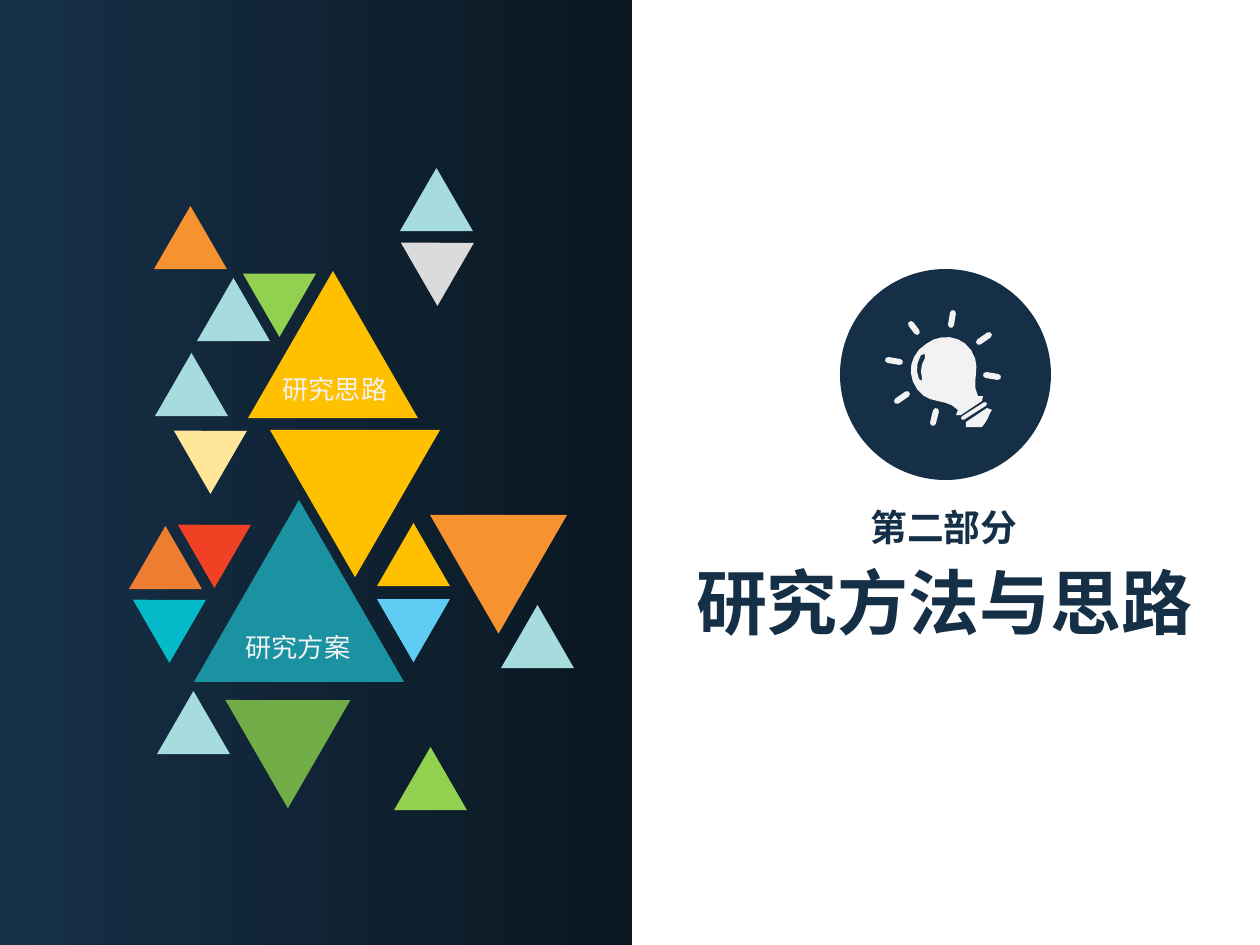
import math
from pptx import Presentation
from pptx import util as u
from pptx.dml.color import RGBColor
from pptx.enum import shapes, text
from pptx.oxml import ns
from lxml import etree

PX = 914400 / 126
FONT = "Noto Sans CJK SC"

NAVY = RGBColor(0x15, 0x2F, 0x47)
PANEL_START = RGBColor(0x16, 0x30, 0x48)
PANEL_END = RGBColor(0x0A, 0x17, 0x21)
WHITE = RGBColor(0xF2, 0xF2, 0xF2)
MINT = RGBColor(0xA7, 0xDC, 0xDE)
CREAM = RGBColor(0xFF, 0xE6, 0x99)
AMBER = RGBColor(0xFF, 0xC0, 0x00)
TEAL = RGBColor(0x1A, 0x92, 0xA2)
RUST = RGBColor(0xED, 0x7D, 0x31)
ORANGE = RGBColor(0xF6, 0x92, 0x30)
LIME = RGBColor(0x92, 0xD0, 0x50)
GREEN = RGBColor(0x70, 0xAD, 0x47)
GREY = RGBColor(0xDB, 0xDB, 0xDB)
CYAN = RGBColor(0x05, 0xBA, 0xC8)
SKY = RGBColor(0x5E, 0xCC, 0xF3)
RED = RGBColor(0xF1, 0x41, 0x24)

SMALL = 73
TRIANGLES = [
    (155, 353, SMALL, 0, MINT),
    (400, 168, SMALL, 0, MINT),
    (183, 415, SMALL, 60, CREAM),
    (270, 430, 170, 180, AMBER),
    (194, 500, 210, 0, TEAL),
    (157, 691, SMALL, 0, MINT),
    (129, 526, SMALL, 0, RUST),
    (154, 206, SMALL, 0, ORANGE),
    (197, 278, SMALL, 0, MINT),
    (252, 258, SMALL, 60, LIME),
    (410, 227, SMALL, 60, GREY),
    (142, 584, SMALL, 60, CYAN),
    (430, 515, 137, 180, ORANGE),
    (377, 523, SMALL, 0, AMBER),
    (377, 599, SMALL, 180, SKY),
    (187, 509, SMALL, 60, RED),
    (241, 673, 125, 60, GREEN),
    (501, 605, SMALL, 0, MINT),
    (248, 271, 170, 0, AMBER),
    (394, 747, SMALL, 0, LIME),
]

RAYS = [
    ((72, 54), (78, 62)), ((49, 90), (61, 92)), ((58, 131), (68, 124)),
    ((94, 153), (97, 141)), ((147, 105), (159, 107)),
    ((140, 72), (150, 65)), ((112, 55), (114, 43)),
]
SCREW_RING = ((146, 134), (124, 148))
GLASS = [
    (144, 126), (145, 127), (144, 129), (143, 131),
    (143, 131), (122, 145), (122, 145), (120, 146), (119, 146), (117, 145),
    (117, 143), (117, 141), (119, 140), (107, 127), (90, 136), (78, 119),
    (67, 104), (71, 84), (87, 74), (101, 63), (122, 65), (132, 80),
    (144, 97), (131, 111), (139, 126), (140, 124), (142, 124), (144, 126),
]
GLINT = [
    (86, 84), (85, 84), (83, 84), (82, 85), (77, 93), (77, 102), (80, 109),
    (80, 111), (82, 112), (83, 111), (84, 110), (83, 109), (83, 108),
    (81, 102), (82, 94), (86, 88), (87, 87), (87, 85), (86, 84),
]
SCREW_TIP = [
    (148, 138), (148, 138), (127, 152), (127, 152), (126, 153), (126, 156),
    (127, 157), (129, 158), (130, 158), (131, 157), (133, 156), (134, 156),
    (136, 157), (137, 158), (141, 158), (143, 157), (143, 157), (146, 153),
    (146, 153), (149, 152), (150, 150), (149, 148), (149, 147), (150, 145),
    (151, 143), (153, 142), (153, 141), (153, 140), (153, 137), (149, 137),
    (148, 138),
]


def emu(length):
    return u.Emu(round(length * PX))


def paint(shape, colour):
    shape.shadow.inherit = False
    shape.line.fill.background()
    shape.fill.solid()
    shape.fill.fore_color.rgb = colour


def add_preset(page, kind, left, top, width, height):
    return page.shapes.add_shape(kind, *map(emu, (left, top, width, height)))


def add_label(page, box, wording, align, **formats):
    label = page.shapes.add_textbox(*map(emu, box))
    frame = label.text_frame
    frame.word_wrap = False
    frame.auto_size = text.MSO_AUTO_SIZE.SHAPE_TO_FIT_TEXT
    para = frame.paragraphs[0]
    para.alignment = align
    span = para.add_run()
    span.text = wording
    span.font.color.rgb = formats.pop("colour")
    for name, value in {"name": FONT, **formats}.items():
        setattr(span.font, name, value)
    etree.SubElement(span.font._element, ns.qn("a:ea"), typeface=FONT)


def sample_curve(points):
    outline = [points[0]]
    for start in range(0, len(points) - 1, 3):
        a, b, c, d = points[start:start + 4]
        steps = 1 if a == b else max(1, round(math.dist(a, d) / 8))
        for step in range(1, steps + 1):
            t = step / steps
            s = 1 - t
            outline.append(tuple(
                s**3 * a[k] + 3 * s * s * t * b[k] + 3 * s * t * t * c[k] + t**3 * d[k]
                for k in (0, 1)))
    return outline[:-1]


def capsule(start, end, radius):
    angle = math.atan2(end[1] - start[1], end[0] - start[0])
    return [(x + radius * math.cos(angle + turn + k * math.pi / 3),
             y + radius * math.sin(angle + turn + k * math.pi / 3))
            for (x, y), turn in ((end, -math.pi / 2), (start, math.pi / 2))
            for k in range(4)]


def add_triangle_panel(page, left, top, width, height):
    panel = add_preset(page, shapes.MSO_SHAPE.RECTANGLE, left, top, width, height)
    paint(panel, PANEL_START)
    panel.fill.gradient()
    panel.fill.gradient_angle = 0
    for stop, colour in zip(panel.fill.gradient_stops, (PANEL_START, PANEL_END)):
        stop.color.rgb = colour
    for x, y, side, turn, colour in TRIANGLES:
        triangle = add_preset(page, shapes.MSO_SHAPE.ISOSCELES_TRIANGLE,
                              left + x, top + y, side, side * math.sqrt(3) / 2)
        triangle.rotation = turn
        paint(triangle, colour)
    for x, y, wording in ((270, 367, "研究思路"), (233, 625, "研究方案")):
        add_label(page, (left + x, top + y, 131, 44), wording, text.PP_ALIGN.LEFT,
                  size=u.Pt(15), colour=WHITE)


def add_bulb(page, left, top):
    outlines = [sample_curve(points) for points in (GLASS, GLINT, SCREW_TIP)]
    outlines += [capsule(*ray, 3) for ray in RAYS]
    outlines.append(capsule(*SCREW_RING, 2))
    contours = [[(emu(left + x), emu(top + y)) for x, y in outline]
                for outline in outlines]
    builder = page.shapes.build_freeform(*contours[0][0])
    for number, contour in enumerate(contours):
        if number:
            builder.move_to(*contour[0])
        builder.add_line_segments(contour[1:], close=True)
    paint(builder.convert_to_shape(), WHITE)


def add_badge(page, left, top, size):
    paint(add_preset(page, shapes.MSO_SHAPE.OVAL, left, top, size, size), NAVY)
    add_bulb(page, left - 1, top + 1)


def add_section_title(page, left, top):
    for box, wording, size in (
            ((left, top + 53, 527, 98), "研究方法与思路", 40.5),
            ((left + 176, top, 174, 57), "第二部分", 21)):
        add_label(page, box, wording, text.PP_ALIGN.CENTER,
                  size=u.Pt(size), bold=True, colour=NAVY)


def main():
    deck = Presentation()
    deck.slide_width, deck.slide_height = emu(1260), emu(945)
    page = deck.slides.add_slide(deck.slide_layouts[6])
    add_triangle_panel(page, 0, 0, 632, 945)
    add_section_title(page, 681, 499)
    add_badge(page, 840, 269, 211)
    deck.save("out.pptx")


if __name__ == "__main__":
    main()
